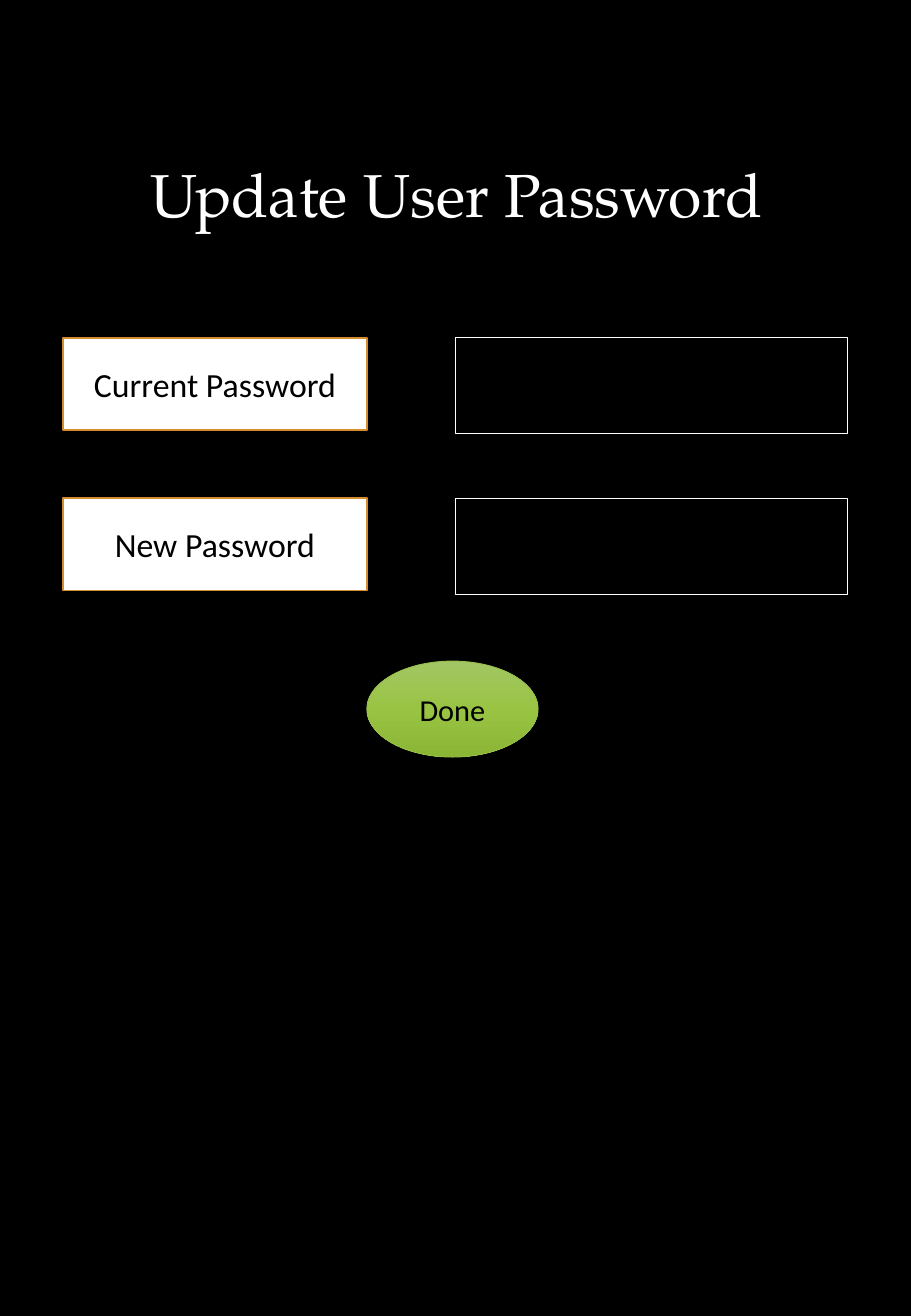
import copy

import pptx
import pptx.dml.color
import pptx.enum.shapes
import pptx.enum.text
import pptx.util

Inches = pptx.util.Inches
Pt = pptx.util.Pt
RGBColor = pptx.dml.color.RGBColor
SHAPES = pptx.enum.shapes.MSO_SHAPE

BLACK = RGBColor(0x00, 0x00, 0x00)
WHITE = RGBColor(0xFF, 0xFF, 0xFF)
ORANGE = RGBColor(0xD5, 0x8C, 0x2E)
GREEN_EDGE = RGBColor(0x97, 0xBE, 0x49)
GREEN_STOPS = [
    (0, RGBColor(0xA2, 0xC6, 0x64)),
    (0.5, RGBColor(0x99, 0xC4, 0x43)),
    (1, RGBColor(0x8A, 0xB5, 0x35)),
]


def write(box, text, size, font, color):
    frame = box.text_frame
    frame.word_wrap = True
    frame.vertical_anchor = pptx.enum.text.MSO_ANCHOR.MIDDLE
    para = frame.paragraphs[0]
    para.alignment = pptx.enum.text.PP_ALIGN.CENTER
    span = para.add_run()
    span.text = text
    span.font.size = Pt(size)
    span.font.name = font
    span.font.color.rgb = color
    return para


def add_outlined(kind, left, top, width, height, line_color, line_width):
    shape = page.shapes.add_shape(
        kind, Inches(left), Inches(top), Inches(width), Inches(height))
    shape.shadow.inherit = False
    shape.line.color.rgb = line_color
    shape.line.width = Pt(line_width)
    return shape


# Page with a black background
deck = pptx.Presentation()
deck.slide_width = Inches(7.5)
deck.slide_height = Inches(10.83)
page = deck.slides.add_slide(deck.slide_layouts[6])
page.background.fill.solid()
page.background.fill.fore_color.rgb = BLACK

# Title
title = page.shapes.add_textbox(Inches(0.52), Inches(0.58), Inches(6.47), Inches(2.09))
title_para = write(title, "Update User Password", 36, "TeX Gyre Pagella", WHITE)
title_para.line_spacing = 0.9

# Form rows: a label and its empty entry field
for row, caption in enumerate(["Current Password", "New Password"]):
    top = 2.78 + row * 1.32
    label = add_outlined(SHAPES.RECTANGLE, 0.52, top, 2.5, 0.76, ORANGE, 1)
    label.fill.solid()
    label.fill.fore_color.rgb = WHITE
    write(label, caption, 20, "Calibri", BLACK)
    field = add_outlined(SHAPES.RECTANGLE, 3.75, top, 3.23, 0.79, WHITE, 0.75)
    field.fill.background()

# Done button with a three-stop vertical gradient
button = add_outlined(SHAPES.OVAL, 3.02, 5.44, 1.41, 0.79, GREEN_EDGE, 0.5)
button.fill.gradient()
button.fill.gradient_angle = 270
first_stop = button.fill._fill._gradFill.gsLst[0]
first_stop.addnext(copy.deepcopy(first_stop))
for stop, (position, color) in zip(button.fill.gradient_stops, GREEN_STOPS):
    stop.position = position
    stop.color.rgb = color
write(button, "Done", 18, "Calibri", BLACK)

deck.save("out.pptx")
